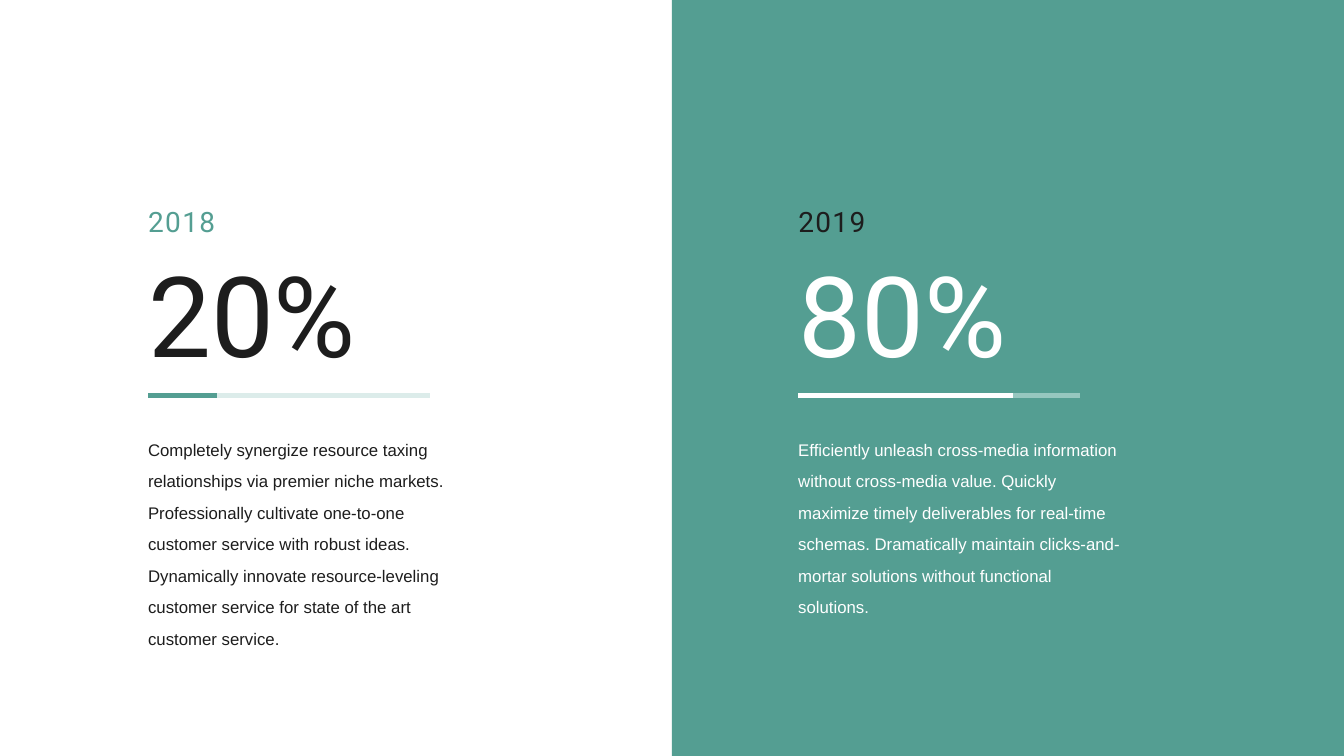
"""Build a two-panel slide comparing 2018 with 2019."""
import pptx
import pptx.dml.color
import pptx.enum.shapes
import pptx.enum.text
import pptx.oxml
import pptx.util

Pt = pptx.util.Pt
ANCHOR = pptx.enum.text.MSO_ANCHOR
COLORS = {"teal": "549E92", "ink": "1D1D1D", "white": "FFFFFF",
          "pale": "DCECEA", "mist": "96C7BF"}


def add_text(x, y, w, h, text, font, size, color, spacing, anchor=ANCHOR.TOP):
    tf = s.shapes.add_textbox(Pt(x), Pt(y), Pt(w), Pt(h)).text_frame
    tf.word_wrap = True
    tf.vertical_anchor = anchor
    tf.margin_left = tf.margin_right = tf.margin_top = tf.margin_bottom = 0
    p = tf.paragraphs[0]
    r = p.add_run()
    r.text = text
    p.line_spacing = spacing
    p.font.name = font
    p.font.size = Pt(size)
    p.font.color.rgb = pptx.dml.color.RGBColor.from_string(COLORS[color])
    return r


def add_bar(x, y, w, color):
    c = s.shapes.add_connector(pptx.enum.shapes.MSO_CONNECTOR.STRAIGHT,
                               Pt(x), Pt(y), Pt(x + w), Pt(y))
    c.line.width = Pt(4)
    c.line.color.rgb = pptx.dml.color.RGBColor.from_string(COLORS[color])
    c._element.spPr.append(pptx.oxml.parse_xml(
        '<a:effectLst xmlns:a="http://schemas.openxmlformats.org/drawingml/2006/main"/>'))


prs = pptx.Presentation()
prs.slide_width, prs.slide_height = Pt(960), Pt(540)
s = prs.slides.add_slide(prs.slide_layouts[6])

sp = s.shapes.add_shape(pptx.enum.shapes.MSO_SHAPE.RECTANGLE,
                        Pt(480), 0, Pt(480), Pt(540))
sp.shadow.inherit = False
sp.fill.solid()
sp.fill.fore_color.rgb = pptx.dml.color.RGBColor.from_string(COLORS["teal"])
sp.line.fill.background()

panels = [
    (105.8, "2018", "20%", 49, 155.5,
     "Completely synergize resource taxing relationships via premier niche markets. "
     "Professionally cultivate one-to-one customer service with robust ideas. "
     "Dynamically innovate resource-leveling customer service for state of the art "
     "customer service.",
     "teal", "ink", "pale", "teal"),
    (570.2, "2019", "80%", 153.4, 131,
     "Efficiently unleash cross-media information without cross-media value. "
     "Quickly maximize timely deliverables for real-time schemas. Dramatically "
     "maintain clicks-and-mortar solutions without functional solutions.",
     "ink", "white", "mist", "white"),
]
for x, year, share, done, height, body, year_color, color, track, bar in panels:
    add_text(x, 165.6, 321, 106.6, share, "Roboto", 80, color, 1.1)
    add_text(x, 306, 230.4, height, body, "Arial", 12, color, 1.56)
    r = add_text(x, 141.1, 142.6, 28.8, year, "Roboto", 20, year_color, 1.2,
                 ANCHOR.BOTTOM)
    r._r.get_or_add_rPr().set("spc", "100")
    add_bar(x, 282.4, 201.2, track)
    add_bar(x, 282.4, done, bar)

prs.save("out.pptx")
